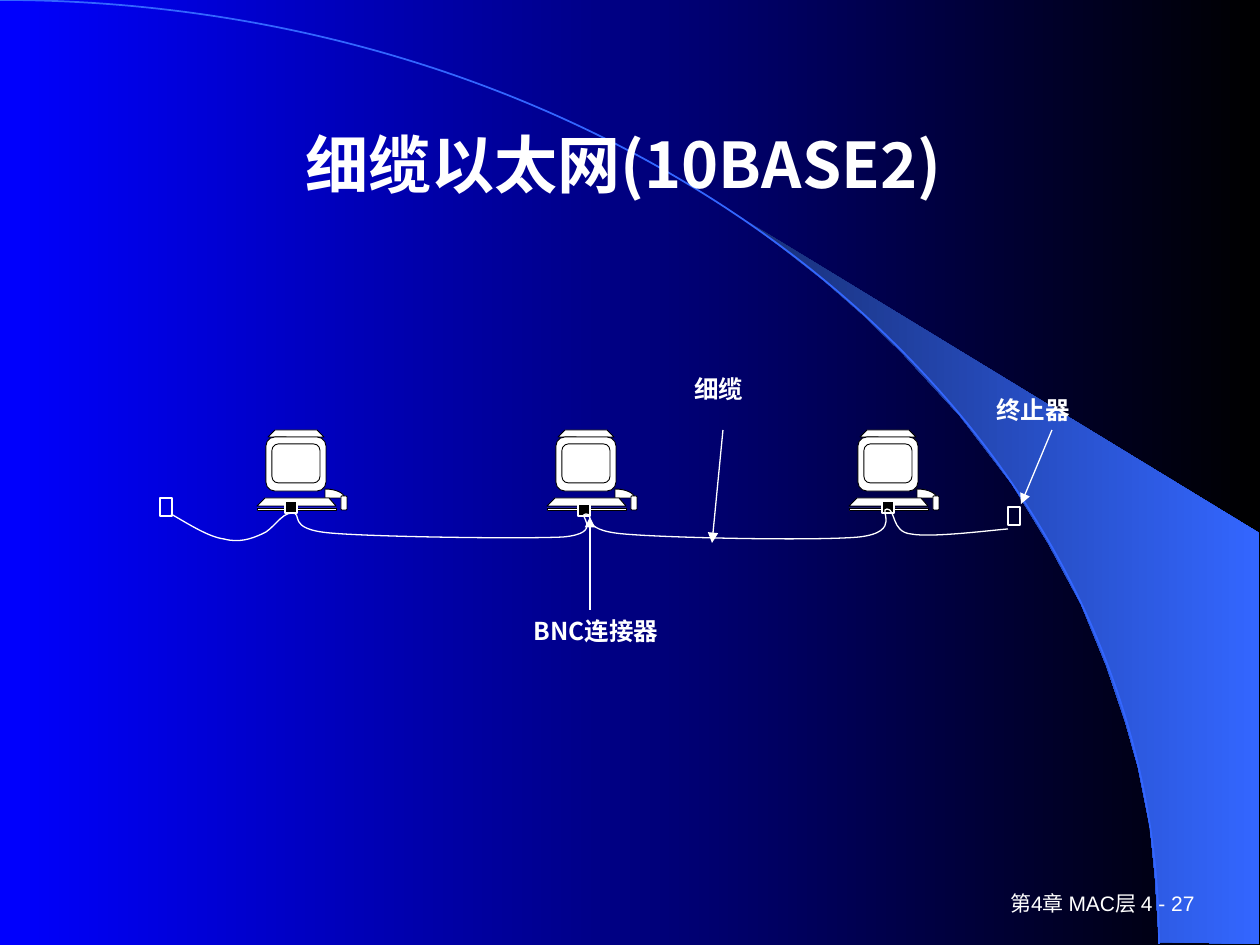
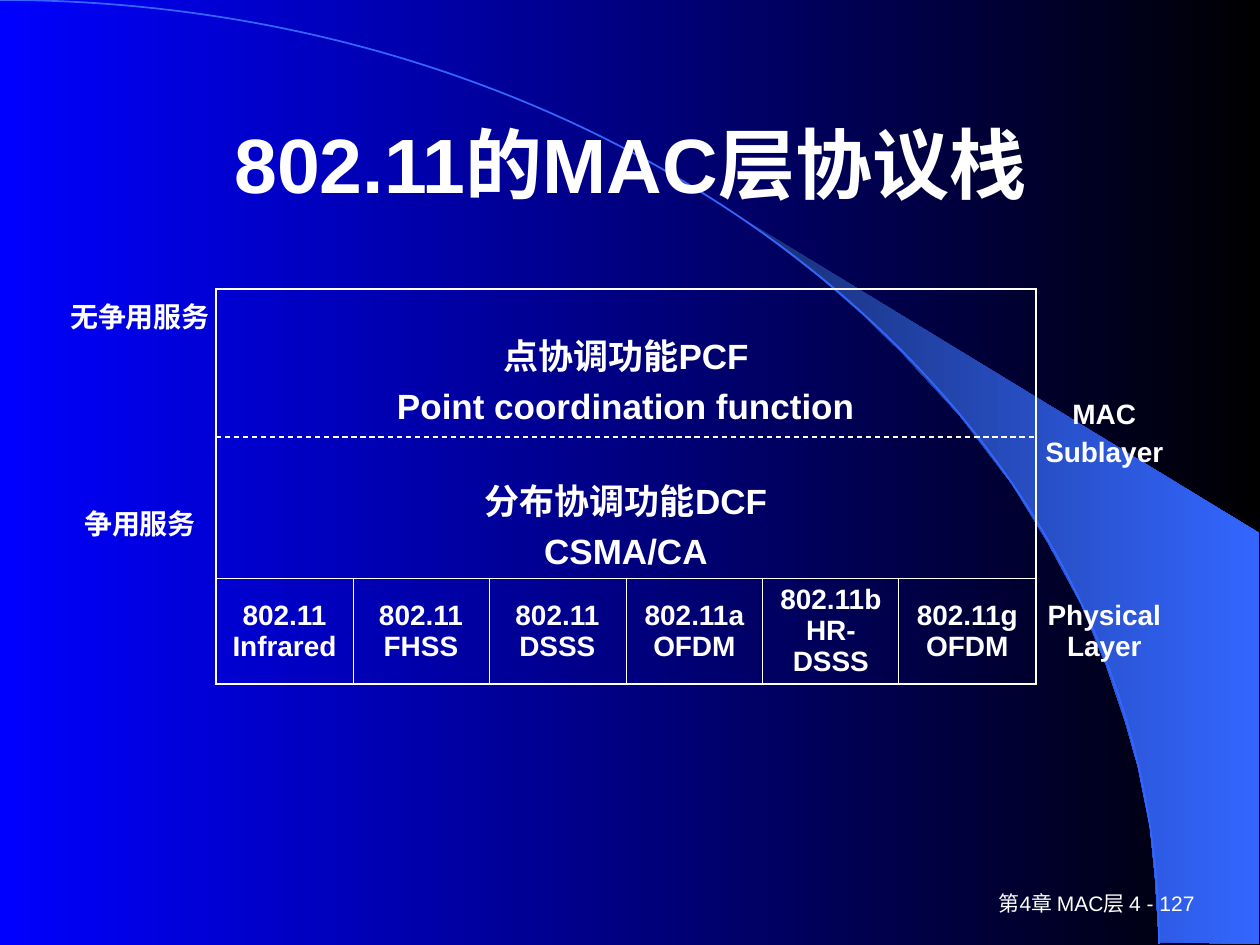
from lxml.etree import SubElement
from pptx import Presentation
from pptx.dml.color import RGBColor
from pptx.enum.dml import MSO_LINE
from pptx.enum.shapes import MSO_CONNECTOR, MSO_SHAPE
from pptx.enum.text import MSO_ANCHOR, MSO_AUTO_SIZE, PP_ALIGN
from pptx.oxml.ns import qn
from pptx.util import Inches, Pt

PX = Inches(1) / 126
WHITE = RGBColor(0xFF, 0xFF, 0xFF)
BLACK = RGBColor(0x00, 0x00, 0x00)
BLUE = RGBColor(0x00, 0x00, 0xFF)
BAND_DARK = RGBColor(0x18, 0x2F, 0x76)
BAND_LIGHT = RGBColor(0x33, 0x66, 0xFF)
LATIN, CHINESE = "Arial", "Noto Sans CJK SC"
NO_STYLE_TABLE = "{2D5ABB26-0587-4C30-8999-92F81FD0307C}"
OUTER, INNER = Pt(1.08), Pt(0.45)


def outline(page, knots, curves=0, closed=True):
    """Draw an outline through px points; the first curves are Bezier, three knots each."""
    builder = page.shapes.build_freeform(*knots[0], scale=PX)
    builder.add_line_segments(knots[1:], close=closed)
    shape = builder.convert_to_shape()
    steps = list(shape._element.iter(qn("a:lnTo")))
    for i in range(0, 3 * curves, 3):
        bend = SubElement(steps[i].getparent(), qn("a:cubicBezTo"))
        steps[i].addprevious(bend)
        for step in steps[i:i + 3]:
            bend.append(step[0])
            step.getparent().remove(step)
    return shape


def write(frame, text, size, align=PP_ALIGN.LEFT, bold=True, name=LATIN, gap=0):
    """Fill a text frame, one paragraph a line, with gap points between them."""
    frame.text = text
    font_format = {"size": Pt(size), "bold": bold, "name": name}
    for i, para in enumerate(frame.paragraphs):
        para.alignment = align
        para.space_before = Pt(gap if i else 0)
        for span in para.runs:
            span.font.color.rgb = WHITE
            for key, value in font_format.items():
                setattr(span.font, key, value)


deck = Presentation()
deck.slide_width, deck.slide_height = Inches(10), Inches(7.5)
painted = []  # shape, fill, line colour, line width

# Shared background, band, arc, footer and title
pages = []
for number, heading, size, name in ((27, "细缆以太网(10BASE2) ", 36, CHINESE),
                                    (127, "802.11的MAC层协议栈", 44, LATIN)):
    page = deck.slides.add_slide(deck.slide_layouts[5])
    pages.append(page)
    band = outline(page, [
        (1159, 942), (1259, 944), (1259, 533), (742, 218), (786, 251), (823, 280),
        (863, 315), (902, 353), (960, 416), (1012, 484), (1048, 543), (1081, 604),
        (1106, 665), (1125, 721), (1138, 767), (1150, 827), (1155, 877)])
    band.shadow.inherit = False
    band.line.fill.background()
    for fill, colours in ((page.background.fill, (BLUE, BLACK)),
                          (band.fill, (BAND_DARK, BAND_LIGHT))):
        fill.gradient()
        fill.gradient_angle = 0
        for stop, colour in zip(fill.gradient_stops, colours):
            stop.color.rgb = colour
    arc = outline(page, [(0, 0), (640, 0), (1159, 422), (1159, 944)], curves=1, closed=False)
    painted.append((arc, None, BAND_LIGHT, 1))

    footer = page.shapes.add_textbox(945 * PX, 882 * PX, 262 * PX, 42 * PX).text_frame
    footer.word_wrap = True
    footer.vertical_anchor = MSO_ANCHOR.MIDDLE
    write(footer, f"第4章 MAC层 4 - {number}", 12, PP_ALIGN.RIGHT, bold=False)

    title = page.shapes.title
    place = {"left": 95, "top": 84, "width": 1071, "height": 158}
    for key, value in place.items():
        setattr(title, key, int(value * PX))
    title.text_frame.auto_size = MSO_AUTO_SIZE.NONE
    title.text_frame.vertical_anchor = MSO_ANCHOR.MIDDLE
    write(title.text_frame, heading, size, PP_ALIGN.CENTER, name=name)
    page.shapes._spTree.append(title._element)  # title in front of the arc

network, stack = pages

# Computers
for left in (257, 547, 849):
    cord = [(68, 489), (79, 489), (87, 493), (88, 498), (68, 498)]
    base = [(0, 506), (8, 498), (72, 498), (79, 506)]
    lid = [(11, 437), (18, 430), (60, 430), (67, 437)]
    parts = [outline(network, [(left + x, y) for x, y in corners], curves)
             for corners, curves in ((cord, 1), (base, 0), (lid, 0))]
    for kind, x, y, width, height in (
            (MSO_SHAPE.ROUNDED_RECTANGLE, 84, 496, 6, 14),  # mouse
            (MSO_SHAPE.RECTANGLE, 0, 508, 79, 3),           # keyboard edge
            (MSO_SHAPE.ROUNDED_RECTANGLE, 9, 437, 60, 54),  # monitor
            (MSO_SHAPE.ROUNDED_RECTANGLE, 15, 444, 48, 39)):  # screen
        part = network.shapes.add_shape(kind, int((left + x) * PX), int(y * PX),
                                        int(width * PX), int(height * PX))
        if kind == MSO_SHAPE.ROUNDED_RECTANGLE:
            part.adjustments[0] = 0.165
        parts.append(part)
    painted += [(part, WHITE, BLACK, 0.5) for part in parts]

# Connectors (filled), cable and terminators (hollow)
for x, y, width, height, fill in ((285, 501, 12, 12, BLACK), (882, 501, 12, 12, BLACK),
                                  (578, 504, 12, 12, BLACK), (160, 498, 12, 18, None),
                                  (1008, 507, 12, 18, None)):
    plug = network.shapes.add_shape(MSO_SHAPE.RECTANGLE, int(x * PX), int(y * PX),
                                    int(width * PX), int(height * PX))
    painted.append((plug, fill, WHITE, 0.75))
cable = outline(network, [
    (171, 514), (190, 525), (209, 537), (224, 539), (239, 543), (251, 539), (262, 534),
    (273, 530), (281, 513), (292, 513), (304, 513), (285, 529), (330, 533),
    (375, 537), (520, 539), (563, 537), (606, 533), (576, 514), (586, 514),
    (596, 514), (577, 530), (624, 534), (669, 538), (816, 541), (859, 537),
    (903, 532), (878, 509), (887, 509), (896, 509), (891, 532), (911, 534),
    (931, 538), (993, 530), (1008, 529)], curves=11, closed=False)
painted.append((cable, None, WHITE, 0.75))

# Labels
for text, x, y, width, name in (("终止器", 984, 389, 108, LATIN), ("细缆", 682, 368, 168, LATIN),
                                ("BNC连接器", 521, 610, 160, CHINESE)):
    label = network.shapes.add_textbox(x * PX, y * PX, width * PX, 43 * PX).text_frame
    label.word_wrap = True
    write(label, text, 14, name=name)

# Protocol stack table: labels on both sides of six framed columns
edges = [64] + [216 + round(820 * k / 6) for k in range(8)]
heights = (178, 105, 105)
table = stack.shapes.add_table(3, 8, int(64 * PX), int(289 * PX), int((edges[-1] - 64) * PX),
                               int(sum(heights) * PX)).table
table.first_row = table.horz_banding = False
table._tbl.tblPr.find(qn("a:tableStyleId")).text = NO_STYLE_TABLE
for column, start, end in zip(table.columns, edges, edges[1:]):
    column.width = round((end - start) * PX)
for row, height in zip(table.rows, heights):
    row.height = round(height * PX)
for top, left, bottom, right in ((0, 1, 0, 6), (1, 1, 1, 6), (0, 7, 1, 7)):
    table.cell(top, left).merge(table.cell(bottom, right))

# Cell borders: only the six framed columns carry them
for r in range(3):
    for c in range(8):
        cell = table.cell(r, c)
        if 1 <= c <= 6:
            upright = {1: OUTER, 7: OUTER}
            if r == 2:
                upright.update({k: INNER for k in range(2, 7)})
            level = {0: OUTER, 2: INNER, 3: OUTER}
            borders = {"lnL": upright.get(c), "lnR": upright.get(c + 1),
                       "lnT": level.get(r), "lnB": level.get(r + 1)}
            for tag, weight in borders.items():
                if weight:
                    border = SubElement(cell._tc.get_or_add_tcPr(), qn(f"a:{tag}"), w=str(weight))
                    solid = SubElement(border, qn("a:solidFill"))
                    SubElement(solid, qn("a:srgbClr"), val=str(WHITE))
        else:
            cell.margin_left = cell.margin_right = Inches(0.04)
        cell.fill.background()

# Cell texts
MIDDLE, TOP = MSO_ANCHOR.MIDDLE, MSO_ANCHOR.TOP
entries = [(0, 0, "无争用服务", 16, TOP),
           (0, 1, "点协调功能PCF\nPoint coordination function", 20, MIDDLE),
           (0, 7, "MAC\nSublayer", 16, MIDDLE),
           (1, 0, "争用服务", 16, MIDDLE),
           (1, 1, "分布协调功能DCF\nCSMA/CA", 20, TOP)]
physical = ("802.11 Infrared", "802.11 FHSS", "802.11 DSSS", "802.11a OFDM",
            "802.11b HR-DSSS", "802.11g OFDM", "Physical Layer")
entries += [(2, c, text, 16, MIDDLE) for c, text in enumerate(physical, 1)]
for r, c, text, size, anchor in entries:
    cell = table.cell(r, c)
    cell.vertical_anchor = anchor
    write(cell.text_frame, text, size, PP_ALIGN.CENTER, gap=size / 4)

# Arrows to the labelled parts, and the dashed divider of the stack
for page, x1, y1, x2, y2, arrow in ((network, 1052, 430, 1021, 504, True),
                                    (network, 723, 430, 712, 543, True),
                                    (network, 590, 610, 590, 517, True),
                                    (stack, 216, 437, 1036, 437, False)):
    line = page.shapes.add_connector(MSO_CONNECTOR.STRAIGHT, int(x1 * PX), int(y1 * PX),
                                     int(x2 * PX), int(y2 * PX))
    line.line.color.rgb = WHITE
    line.line.width = Pt(0.75)
    if arrow:
        SubElement(line.line._get_or_add_ln(), qn("a:tailEnd"), type="triangle")
    else:
        line.line.dash_style = MSO_LINE.DASH
    SubElement(line._element.spPr, qn("a:effectLst"))

# Fill and line of every drawn shape
for shape, fill, colour, width in painted:
    shape.shadow.inherit = False
    if fill is None:
        shape.fill.background()
    else:
        shape.fill.solid()
        shape.fill.fore_color.rgb = fill
    shape.line.color.rgb = colour
    shape.line.width = Pt(width)

deck.save("out.pptx")
